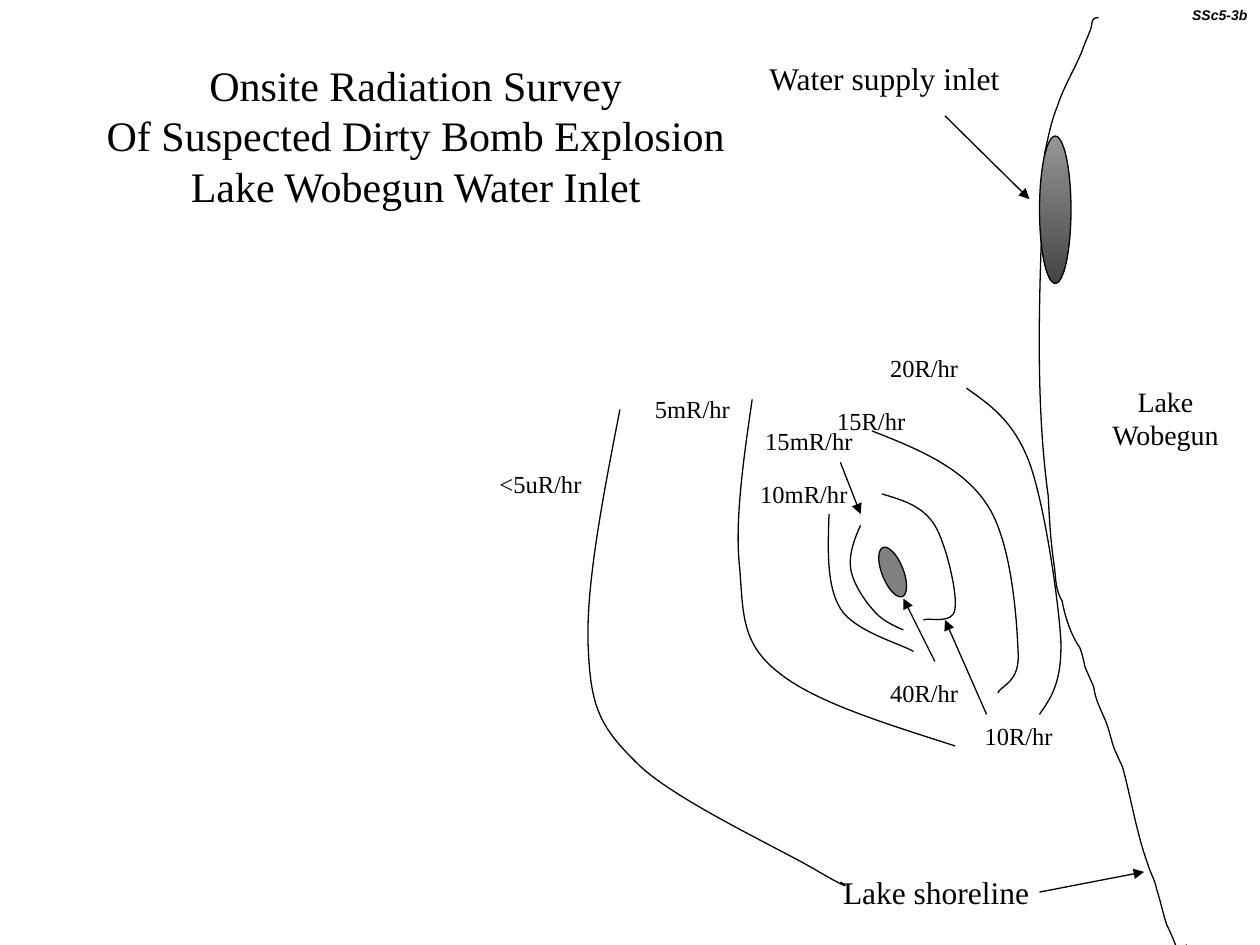
from pptx import Presentation
from pptx.dml.color import RGBColor
from pptx.enum.shapes import MSO_CONNECTOR, MSO_SHAPE
from pptx.enum.text import MSO_ANCHOR, MSO_AUTO_SIZE, PP_ALIGN
from pptx.oxml.ns import qn
from pptx.util import Inches, Pt
from lxml.etree import SubElement

COLORS = {"ink": "000000", "source": "808080", "inlet_top": "969696", "inlet_bottom": "454545"}
SERIF = "Times New Roman"


def rgb(name):
    return RGBColor.from_string(COLORS[name])


def write(shape, lines, size, font=SERIF, align=PP_ALIGN.CENTER, wrap=True, slanted=False):
    """Fill a text shape, one paragraph per line; slanted means bold italic."""
    frame = shape.text_frame
    frame.text = "\n".join(lines)
    frame.word_wrap = wrap
    frame.auto_size = MSO_AUTO_SIZE.SHAPE_TO_FIT_TEXT
    frame.vertical_anchor = MSO_ANCHOR.TOP
    for paragraph in frame.paragraphs:
        paragraph.alignment = align
        paragraph.font.size = Pt(size)
        paragraph.font.name = font
        paragraph.font.bold = paragraph.font.italic = slanted
        paragraph.font.color.rgb = rgb("ink")


prs = Presentation()
prs.slide_width, prs.slide_height = Inches(10), Inches(7.5)
slide = prs.slides.add_slide(prs.slide_layouts[5])
shapes = slide.shapes

title = shapes.title
title.left, title.top, title.width, title.height = map(Inches, (0.7, 0.42, 5.2, 1.3))
write(title, ["Onsite Radiation Survey", "Of Suspected Dirty Bomb Explosion",
              "Lake Wobegun Water Inlet"], 24)

# Each curve: a start point, then two control points and an end point per Bezier piece;
# a single point left over ends a straight piece
shoreline = [
    (8.72, 0.14), (8.71, 0.14), (8.69, 0.14), (8.68, 0.15), (8.66, 0.17), (8.67, 0.2), (8.66, 0.22),
    (8.64, 0.28), (8.61, 0.34), (8.59, 0.4), (8.53, 0.55), (8.44, 0.69), (8.39, 0.85),
    (8.34, 0.97), (8.32, 1.09), (8.29, 1.22), (8.26, 2.1), (8.2, 3.07), (8.32, 3.94),
    (8.33, 4.16), (8.34, 4.31), (8.37, 4.51), (8.38, 4.61), (8.38, 4.69), (8.43, 4.77),
    (8.45, 4.89), (8.5, 5.04), (8.57, 5.14), (8.59, 5.19), (8.6, 5.24), (8.61, 5.29),
    (8.63, 5.34), (8.68, 5.45), (8.68, 5.45), (8.69, 5.54), (8.73, 5.62), (8.77, 5.71),
    (8.81, 5.8), (8.82, 5.9), (8.86, 5.98), (8.89, 6.03), (8.89, 6.04), (8.91, 6.09),
    (8.98, 6.35), (9.02, 6.61), (9.11, 6.86), (9.13, 6.93), (9.17, 6.99), (9.18, 7.06),
    (9.21, 7.15), (9.23, 7.25), (9.26, 7.34), (9.28, 7.38), (9.34, 7.51), (9.34, 7.54),
    (9.34, 7.54), (9.33, 7.54), (9.32, 7.54), (9.42, 7.5)]
contours = [
    # 10R/hr
    [(7, 3.92), (7.16, 3.97), (7.32, 4.01), (7.42, 4.17), (7.51, 4.32), (7.6, 4.71), (7.58, 4.83),
     (7.57, 4.96), (7.38, 4.9), (7.33, 4.92)],
    # 15R/hr
    [(6.92, 3.42), (7.28, 3.56), (7.64, 3.71), (7.83, 4), (8.03, 4.29), (8.07, 4.92), (8.08, 5.17),
     (8.1, 5.42), (7.94, 5.44), (7.92, 5.5)],
    # 20R/hr
    [(7.67, 3.08), (7.85, 3.21), (8.04, 3.33), (8.17, 3.67), (8.29, 4), (8.4, 4.75), (8.42, 5.08),
     (8.43, 5.42), (8.34, 5.54), (8.25, 5.67)],
    # 15mR/hr
    [(6.83, 4.17), (6.78, 4.28), (6.74, 4.39), (6.75, 4.5), (6.76, 4.61), (6.85, 4.75), (6.92, 4.83),
     (6.99, 4.92), (7.08, 4.96), (7.17, 5)],
    # 10mR/hr
    [(6.58, 4.08), (6.57, 4.37), (6.56, 4.65), (6.67, 4.83), (6.78, 5.01), (7.15, 5.11), (7.25, 5.17)],
    # 5mR/hr
    [(5.97, 3.17), (5.9, 3.65), (5.83, 4.14), (5.87, 4.5), (5.9, 4.86), (5.88, 5.1), (6.17, 5.33),
     (6.46, 5.57), (7.02, 5.74), (7.58, 5.92)],
    # <5uR/hr
    [(4.92, 3.25), (4.78, 3.97), (4.64, 4.69), (4.67, 5.17), (4.69, 5.64), (4.78, 5.79), (5.08, 6.08),
     (5.39, 6.37), (6.24, 6.76), (6.5, 6.92), (6.76, 7.07), (6.72, 7.03), (6.67, 7)]]
outlined = []
for curve in [shoreline, *contours]:
    start, *rest = [tuple(map(Inches, point)) for point in curve]
    builder = shapes.build_freeform(*start)
    builder.add_line_segments(rest, close=False)
    outline = builder.convert_to_shape()
    outline.fill.background()
    outlined.append(outline)

    # Turn every three straight pieces into one Bezier piece
    pieces = list(outline._element.iter(qn("a:lnTo")))
    for i in range(0, len(pieces) - 2, 3):
        first, *others = pieces[i:i + 3]
        first.tag = qn("a:cubicBezTo")
        for piece in others:
            first.append(piece[0])
            piece.getparent().remove(piece)

hot_spot = shapes.add_shape(MSO_SHAPE.OVAL, *map(Inches, (7, 4.33, 0.17, 0.42)))
hot_spot.rotation = 338.4
hot_spot.fill.solid()
hot_spot.fill.fore_color.rgb = rgb("source")

water_inlet = shapes.add_shape(MSO_SHAPE.OVAL, *map(Inches, (8.25, 1.08, 0.25, 1.17)))
water_inlet.fill.gradient()
water_inlet.fill.gradient_angle = 270
for stop, name in zip(water_inlet.fill.gradient_stops, ("inlet_top", "inlet_bottom")):
    stop.color.rgb = rgb(name)

for shape in [*outlined, hot_spot, water_inlet]:
    shape.shadow.inherit = False
    shape.line.color.rgb = rgb("ink")
    shape.line.width = Pt(0.75)

arrows = [
    (6.67, 3.67, 6.83, 4.08),  # 15mR/hr
    (7.42, 5.25, 7.17, 4.75),  # 40R/hr
    (7.83, 5.67, 7.5, 4.92),   # 10R/hr
    (8.25, 7.08, 9.08, 6.92),  # shoreline
    (7.5, 0.92, 8.17, 1.58)]   # water inlet
for ends in arrows:
    arrow = shapes.add_connector(MSO_CONNECTOR.STRAIGHT, *map(Inches, ends))
    arrow.line.color.rgb = rgb("ink")
    arrow.line.width = Pt(0.75)
    SubElement(arrow.line._get_or_add_ln(), qn("a:tailEnd"), type="triangle")
    SubElement(arrow._element.spPr, qn("a:effectLst"))

readings = [
    ("5mR/hr", 5.08, 3.08, 0.83), ("10mR/hr", 5.92, 3.75, 0.92), ("15mR/hr", 5.92, 3.33, 1),
    ("40R/hr", 6.92, 5.33, 0.83), ("10R/hr", 7.67, 5.67, 0.83), ("15R/hr", 6.5, 3.17, 0.83),
    ("20R/hr", 6.92, 2.75, 0.83), ("<5uR/hr", 3.83, 3.67, 0.92)]
for reading, left, top, width in readings:
    write(shapes.add_textbox(*map(Inches, (left, top, width, 0.34))), [reading], 14)

for place, left, top, width in [("Lake shoreline", 6.59, 6.88, 1.68),
                                ("Water supply inlet", 6, 0.42, 2.04)]:
    write(shapes.add_textbox(*map(Inches, (left, top, width, 0.4))), [place], 18, wrap=False)

lake = shapes.add_textbox(*map(Inches, (8.5, 3, 1.5, 0.64)))
write(lake, ["Lake Wobegun"], 16)
slide_code = shapes.add_textbox(*map(Inches, (8.83, 0, 1.17, 0.24)))
write(slide_code, ["SSc5-3b"], 8, "Arial", PP_ALIGN.RIGHT, slanted=True)

prs.save("out.pptx")
